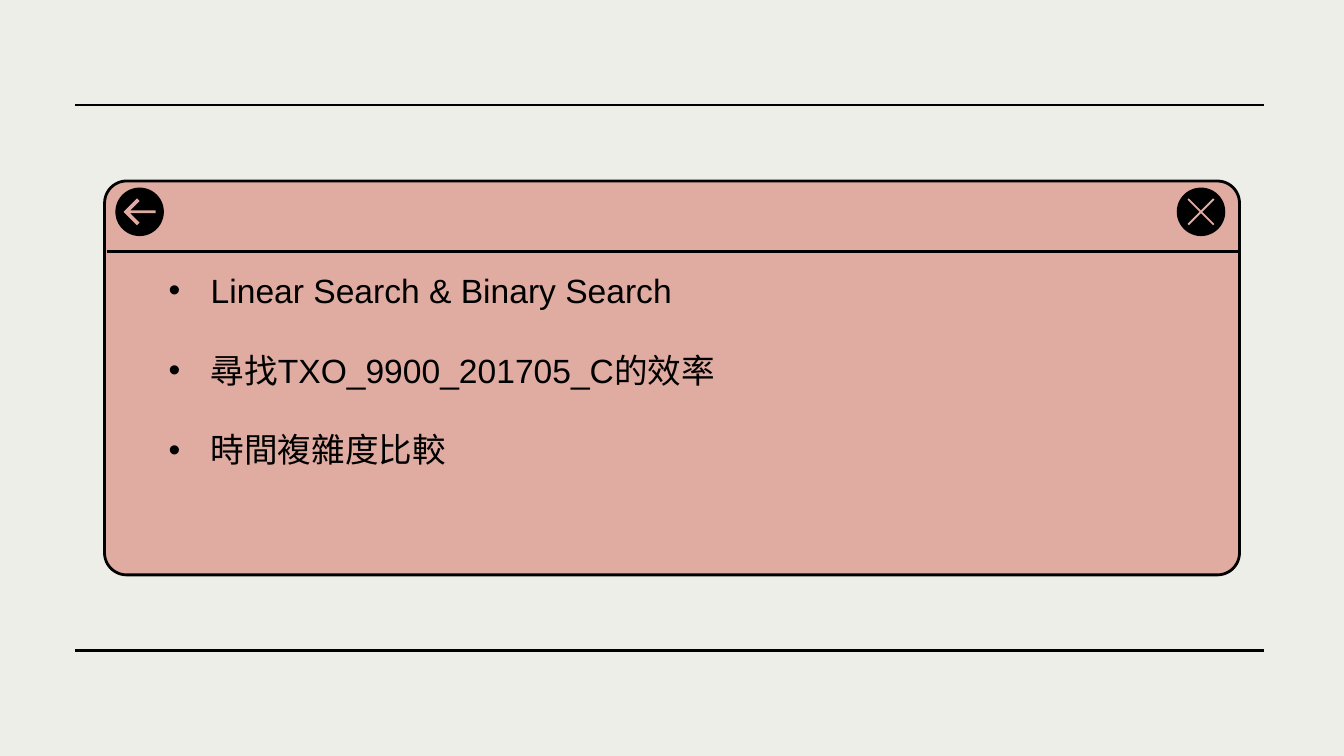
from dataclasses import dataclass

from lxml.etree import SubElement
from pptx import Presentation
from pptx.dml.color import RGBColor
from pptx.enum.shapes import MSO_CONNECTOR as Connector, MSO_SHAPE as Shape
from pptx.enum.text import MSO_AUTO_SIZE as AutoSize
from pptx.oxml.ns import qn
from pptx.util import Pt


@dataclass(frozen=True)
class Theme:
    background: RGBColor = RGBColor(0xEE, 0xEE, 0xE9)
    card: RGBColor = RGBColor(0xE0, 0xAB, 0xA0)
    ink: RGBColor = RGBColor(0, 0, 0)
    font: str = "Arial"
    body_size: float = 18
    line_width: float = 1.5


THEME = Theme()

TOPICS = [
    "Linear Search & Binary Search",
    "尋找TXO_9900_201705_C的效率",
    "時間複雜度比較",
]

ARROW = [
    (-1.4, -7.2), (-8.6, 0), (-1.4, 7.2), (0, 5.8), (-5.1, 0.7),
    (8.6, 0.7), (8.6, -0.7), (-5.1, -0.7), (0, -5.8),
]


def cross_points():
    arm = [(-6.5, -7.2), (-7.2, -6.5), (-0.7, 0)]
    points = []
    for _ in range(4):
        points += arm
        arm = [(y, -x) for x, y in arm]
    return points


def paint(shape, fill, line=None):
    shape.shadow.inherit = False
    shape.fill.solid()
    shape.fill.fore_color.rgb = fill
    if line is None:
        shape.line.fill.background()
    else:
        shape.line.color.rgb = line
        shape.line.width = Pt(THEME.line_width)


def add_rule(slide, left, right, y):
    rule = slide.shapes.add_connector(
        Connector.STRAIGHT, Pt(left), Pt(y), Pt(right), Pt(y))
    rule.line.color.rgb = THEME.ink
    rule.line.width = Pt(THEME.line_width)
    SubElement(rule.element.spPr, qn("a:effectLst"))


def add_card(slide, left, top, width, height):
    card = slide.shapes.add_shape(
        Shape.ROUNDED_RECTANGLE, Pt(left), Pt(top), Pt(width), Pt(height))
    card.adjustments[0] = 0.056
    paint(card, THEME.card, THEME.ink)


def add_button(slide, center_x, center_y, icon_x, icon_points):
    radius = 13
    circle = slide.shapes.add_shape(
        Shape.OVAL, Pt(center_x - radius), Pt(center_y - radius),
        Pt(2 * radius), Pt(2 * radius))
    paint(circle, THEME.ink)
    vertices = [(Pt(icon_x + x), Pt(center_y + y)) for x, y in icon_points]
    builder = slide.shapes.build_freeform(*vertices[0])
    builder.add_line_segments(vertices[1:], close=True)
    paint(builder.convert_to_shape(), THEME.card)


def add_bullet(paragraph, indent):
    properties = paragraph._p.get_or_add_pPr()
    properties.set("marL", str(Pt(indent)))
    properties.set("indent", str(-Pt(indent)))
    color = SubElement(properties, qn("a:buClr"))
    SubElement(color, qn("a:srgbClr"), val=str(THEME.ink))
    SubElement(properties, qn("a:buFont"), typeface=THEME.font)
    SubElement(properties, qn("a:buChar"), char="•")


def add_bullet_list(slide, left, top, width, height, items):
    box = slide.shapes.add_textbox(Pt(left), Pt(top), Pt(width), Pt(height))
    frame = box.text_frame
    frame.word_wrap = True
    frame.auto_size = AutoSize.SHAPE_TO_FIT_TEXT
    for index, item in enumerate(items):
        paragraph = frame.add_paragraph() if index else frame.paragraphs[0]
        paragraph.space_before = Pt(21 if index else 0)
        add_bullet(paragraph, 22.5)
        run = paragraph.add_run()
        run.text = item
        run.font.name = THEME.font
        run.font.size = Pt(THEME.body_size)
        run.font.color.rgb = THEME.ink


def main():
    presentation = Presentation()
    presentation.slide_width = Pt(720)
    presentation.slide_height = Pt(405)
    slide = presentation.slides.add_slide(presentation.slide_layouts[6])
    slide.background.fill.solid()
    slide.background.fill.fore_color.rgb = THEME.background

    for y in (56.3, 348.5):
        add_rule(slide, 40.2, 677.1, y)
    add_card(slide, 56, 97, 608, 211)
    add_rule(slide, 57.2, 663.6, 134.7)
    add_button(slide, 643.4, 113.5, 643.4, cross_points())
    add_button(slide, 74.8, 113.5, 74.8, ARROW)
    add_bullet_list(slide, 83.3, 141.2, 309.6, 116.6, TOPICS)

    presentation.save("out.pptx")


if __name__ == "__main__":
    main()
